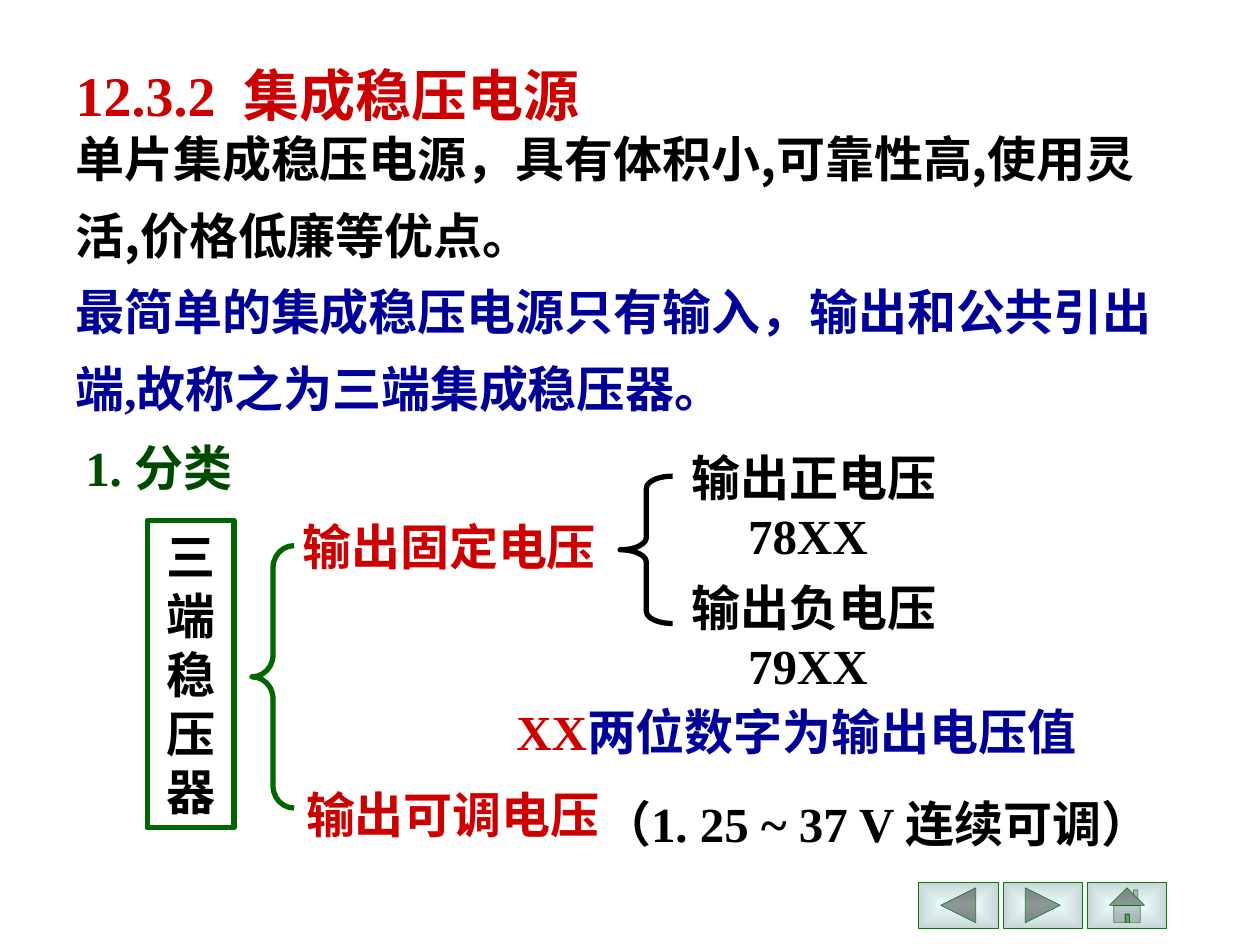
import pptx
import pptx.dml.color
import pptx.enum.lang
import pptx.enum.shapes
import pptx.enum.text
import pptx.oxml
import pptx.oxml.ns
import pptx.util
from pptx.util import Cm

LATIN = "Times New Roman"
CJK = "Noto Sans CJK SC"
COLOURS = {
    "red": "CC0000", "black": "000000", "blue": "000099", "heading": "004A00",
    "green": "006600", "edge": "008000", "centre": "C7D5D6", "rim": "ECFDFE",
}
ALIGN = pptx.enum.text.PP_ALIGN
ANCHOR = pptx.enum.text.MSO_ANCHOR
SHAPES = pptx.enum.shapes.MSO_SHAPE


def colour(name):
    """Return the RGB colour of a palette name."""
    return pptx.dml.color.RGBColor.from_string(COLOURS[name])


def lengths(box):
    """Turn left, top, width and height in centimetres into lengths."""
    return [Cm(value) for value in box]


def add_run(paragraph, text, colour_name, font=LATIN, size=28):
    """Add one bold run with its Latin and East Asian fonts."""
    run = paragraph.add_run()
    run.text = text
    run.font.name = font
    run.font.size = pptx.util.Pt(size)
    run.font.bold = True
    run.font.color.rgb = colour(colour_name)
    run.font.language_id = pptx.enum.lang.MSO_LANGUAGE_ID.SIMPLIFIED_CHINESE
    east_asian = pptx.oxml.parse_xml(
        f'<a:ea {pptx.oxml.ns.nsdecls("a")} typeface="{CJK}"/>')
    run.font._element.find(pptx.oxml.ns.qn("a:latin")).addnext(east_asian)


def write(frame, paragraphs, align=ALIGN.LEFT, anchor=ANCHOR.TOP, wrap=True,
          spacing=None, before=0, size=28):
    """Fill a text frame with paragraphs given as lists of runs."""
    frame.auto_size = pptx.enum.text.MSO_AUTO_SIZE.NONE
    frame.word_wrap = wrap
    frame.vertical_anchor = anchor
    for index, runs in enumerate(paragraphs):
        paragraph = frame.add_paragraph() if index else frame.paragraphs[0]
        paragraph.alignment = align
        paragraph.space_before = pptx.util.Pt(before)
        paragraph.line_spacing = spacing
        for run in runs:
            add_run(paragraph, *run, size=size)


def add_text(slide, box, paragraphs, **style):
    """Add a text box."""
    write(slide.shapes.add_textbox(*lengths(box)).text_frame, paragraphs, **style)


def add_outline(slide, preset, box, line):
    """Add an unfilled preset shape with a thick outline."""
    shape = slide.shapes.add_shape(preset, *lengths(box))
    shape.shadow.inherit = False
    shape.fill.background()
    shape.line.color.rgb = colour(line)
    shape.line.width = pptx.util.Pt(3)
    return shape


def add_brace(slide, box, line, curve):
    """Add a left brace with the given curvature."""
    brace = add_outline(slide, SHAPES.LEFT_BRACE, box, line)
    brace.adjustments[0] = curve
    brace.adjustments[1] = 0.5


def add_button(slide, preset, left):
    """Add a navigation button with a gradient running from rim to centre."""
    button = slide.shapes.add_shape(preset, *lengths((left, 17.78, 1.6, 0.94)))
    button.shadow.inherit = False
    button.line.color.rgb = colour("edge")
    button.line.width = pptx.util.Pt(0.25)
    button.fill.gradient()
    for stop, name in zip(button.fill.gradient_stops, ("rim", "centre")):
        stop.color.rgb = colour(name)
    linear = next(button._element.spPr.iter(pptx.oxml.ns.qn("a:lin")))
    linear.getparent().replace(linear, pptx.oxml.parse_xml(
        f'<a:path {pptx.oxml.ns.nsdecls("a")} path="rect">'
        '<a:fillToRect l="50000" t="50000" r="50000" b="50000"/></a:path>'))


def add_introduction(slide):
    """Add the title, the two opening paragraphs and the section heading."""
    title = slide.shapes.title
    title.left, title.top, title.width, title.height = lengths((1.27, 1.27, 11.86, 1.27))
    write(title.text_frame,
          [[("12.3.2  ", "red"), ("集成稳压电源", "red", CJK)]],
          anchor=ANCHOR.MIDDLE, size=32)
    add_text(slide, (1.27, 2.11, 22.5, 6.43), [
        [("单片集成稳压电源，具有体积小,可靠性高,使用灵活,价格低廉等优点。", "black", CJK)],
        [("最简单的集成稳压电源只有输入，输出和公共引出端,故称之为三端集成稳压器。", "blue")],
    ], anchor=ANCHOR.MIDDLE, spacing=1.3)
    add_text(slide, (1.47, 8.69, 4.65, 1.47),
             [[("1. ", "heading"), ("分类", "heading", CJK)]], before=7)


def add_classification(slide):
    """Add the tree of regulator types."""
    regulator = add_outline(slide, SHAPES.RECTANGLE, (2.97, 10.49, 1.75, 6.2), "green")
    write(regulator.text_frame, [[("三端稳压器", "black")]], align=ALIGN.CENTER)
    add_brace(slide, (5.08, 11, 0.85, 5.29), "green", 0.52)
    add_text(slide, (5.84, 10.29, 6.43, 1.45), [[("输出固定电压", "red")]],
             align=ALIGN.CENTER, wrap=False)
    add_text(slide, (5.92, 15.7, 6.55, 1.45), [[("输出可调电压", "red")]])
    add_brace(slide, (12.5, 9.6, 1.06, 2.97), "black", 0.23)
    for top, polarity, series in ((8.89, "输出正电压", "78XX "), (11.51, "输出负电压", "79XX ")):
        add_text(slide, (13.69, top, 5.44, 2.64),
                 [[(polarity, "black")], [(series, "black")]],
                 align=ALIGN.CENTER, wrap=False)
    add_text(slide, (10.16, 14.02, 13.54, 1.45),
             [[("XX", "red"), ("两位数字为输出电压值", "blue", CJK)]])
    add_text(slide, (11.63, 15.88, 12.07, 1.45),
             [[("（1. 25 ~ 37 V 连续可调）", "black")]],
             align=ALIGN.CENTER, wrap=False)


def main():
    """Build and save the slide."""
    deck = pptx.Presentation()
    deck.slide_width, deck.slide_height = Cm(25.4), Cm(19.05)
    slide = deck.slides.add_slide(deck.slide_layouts[5])
    add_introduction(slide)
    buttons = (SHAPES.ACTION_BUTTON_BACK_OR_PREVIOUS,
               SHAPES.ACTION_BUTTON_FORWARD_OR_NEXT, SHAPES.ACTION_BUTTON_HOME)
    for index, preset in enumerate(buttons):
        add_button(slide, preset, 18.52 + 1.7 * index)
    add_classification(slide)
    deck.save("out.pptx")


if __name__ == "__main__":
    main()
